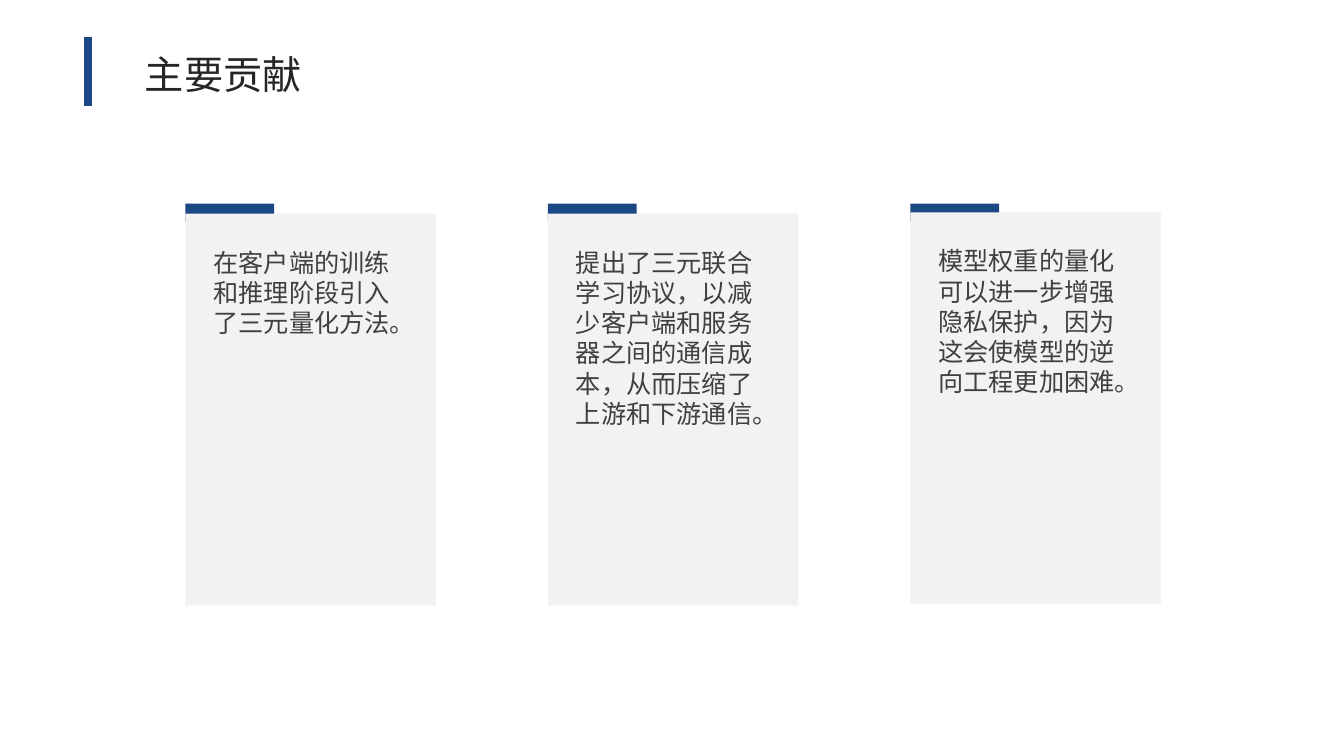
import dataclasses

import lxml.etree
import pptx
import pptx.dml.color
import pptx.enum.shapes
import pptx.enum.text
import pptx.oxml.ns
import pptx.util

Pt = pptx.util.Pt
ALIGN = pptx.enum.text.PP_ALIGN
BLUE = "1C4885"
GREY = "F2F2F2"
FONT = "Arial"
CARD_LEFT = 132.4
CARD_STEP = 258.9
TAB_TOP = 145.4
CARD_TOP = 152.6


@dataclasses.dataclass
class Card:
    text: str
    text_height: float
    rise: float = 0


CARDS = [
    Card("在客户端的训练和推理阶段引入了三元量化方法。", 72.7),
    Card("提出了三元联合学习协议，以减少客户端和服务器之间的通信成本，从而压缩了上游和下游通信。", 138.2),
    Card("模型权重的量化可以进一步增强隐私保护，因为这会使模型的逆向工程更加困难。", 116.6, 0.8),
]


def rgb(value: str) -> pptx.dml.color.RGBColor:
    return pptx.dml.color.RGBColor.from_string(value)


def add_rect(s, x: float, y: float, w: float, h: float, color: str) -> None:
    sp = s.shapes.add_shape(
        pptx.enum.shapes.MSO_SHAPE.RECTANGLE, Pt(x), Pt(y), Pt(w), Pt(h)
    )
    sp.shadow.inherit = False
    sp.fill.solid()
    sp.fill.fore_color.rgb = rgb(color)
    sp.line.fill.background()


def add_text(s, x: float, y: float, w: float, h: float, text: str,
             size: float, color: str, align: ALIGN) -> None:
    tf = s.shapes.add_textbox(Pt(x), Pt(y), Pt(w), Pt(h)).text_frame
    tf.word_wrap = True
    tf.auto_size = pptx.enum.text.MSO_AUTO_SIZE.SHAPE_TO_FIT_TEXT
    p = tf.paragraphs[0]
    p.alignment = align
    r = p.add_run()
    r.text = text
    r.font.name = FONT
    r.font.size = Pt(size)
    r.font.color.rgb = rgb(color)
    ea = lxml.etree.SubElement(r.font._element, pptx.oxml.ns.qn("a:ea"))
    ea.set("typeface", FONT)


def add_title(s) -> None:
    add_text(s, 47.5, 32.4, 223.9, 41, "主要贡献", 28, "262626", ALIGN.CENTER)
    bar = s.shapes.add_connector(
        pptx.enum.shapes.MSO_CONNECTOR.STRAIGHT, Pt(62.8), Pt(26.2), Pt(62.8), Pt(75.6)
    )
    bar.line.color.rgb = rgb(BLUE)
    bar.line.width = Pt(6)
    lxml.etree.SubElement(bar._element.spPr, pptx.oxml.ns.qn("a:effectLst"))


def add_card(s, x: float, card: Card) -> None:
    add_rect(s, x, TAB_TOP, 63.4, 13, BLUE)
    add_rect(s, x, CARD_TOP - card.rise, 179, 280, GREY)
    add_text(s, x + 13, 172.8 - card.rise, 153.4, card.text_height,
             card.text, 18, "404040", ALIGN.LEFT)


def main() -> None:
    prs = pptx.Presentation()
    prs.slide_width = Pt(960)
    prs.slide_height = Pt(540)
    s = prs.slides.add_slide(prs.slide_layouts[6])
    add_title(s)
    for i, card in enumerate(CARDS):
        add_card(s, CARD_LEFT + i * CARD_STEP, card)
    prs.save("out.pptx")


if __name__ == "__main__":
    main()
